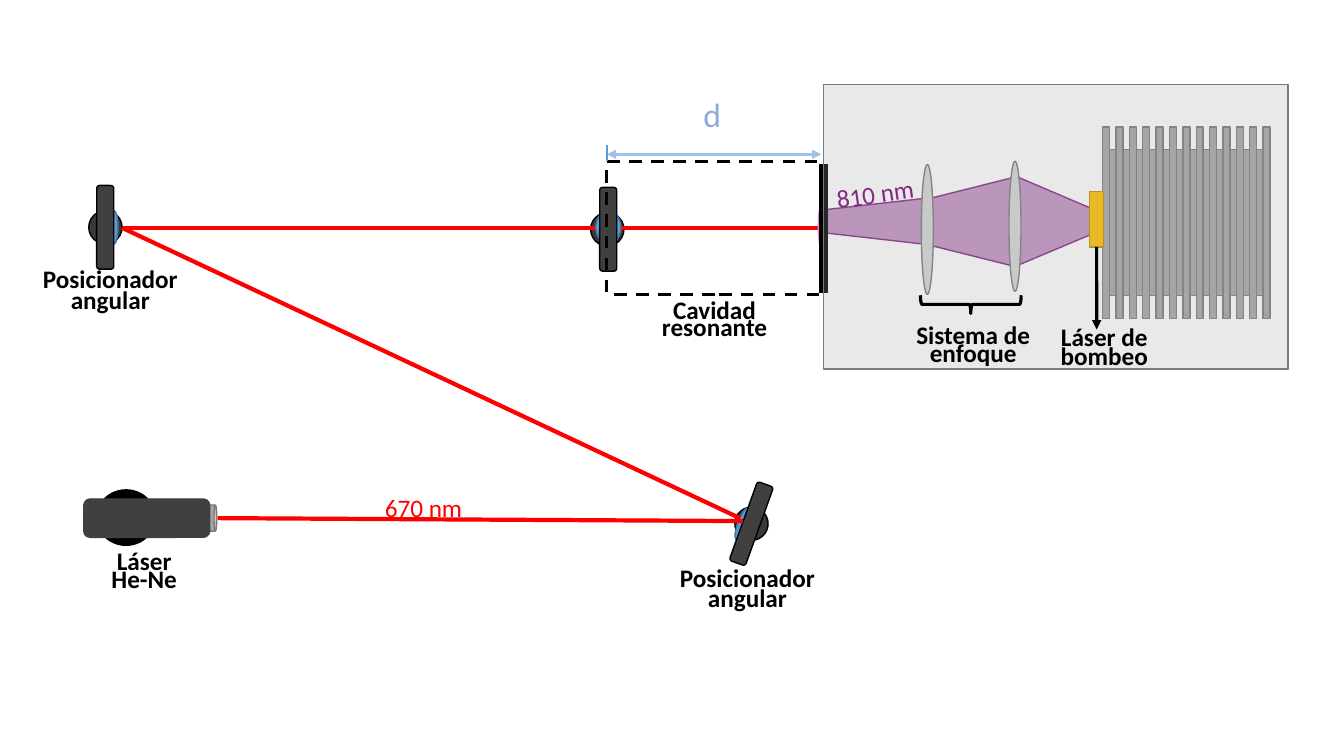
from lxml import etree
from pptx import Presentation
from pptx import util as u
from pptx.dml.color import RGBColor
from pptx.enum import dml, shapes, text
from pptx.oxml import ns

Pt = u.Pt
Kind = shapes.MSO_SHAPE
BLACK = RGBColor(0x00, 0x00, 0x00)
CHARCOAL = RGBColor(0x40, 0x40, 0x40)
DARK = RGBColor(0x3B, 0x38, 0x38)
RED = RGBColor(0xFF, 0x00, 0x00)
PURPLE = RGBColor(0x85, 0x27, 0x85)
PINK = RGBColor(0xDC, 0x88, 0xDC)
GRAY = RGBColor(0xA5, 0xA5, 0xA5)
GRAY_EDGE = RGBColor(0x7A, 0x7A, 0x7A)
GLASS = RGBColor(0xD5, 0xD5, 0xD5)
BLUE = RGBColor(0x5B, 0x9B, 0xD5)
BLUE_EDGE = RGBColor(0x43, 0x73, 0x9E)
PALE_BLUE = RGBColor(0x9D, 0xC3, 0xE6)
LETTER_BLUE = RGBColor(0x8F, 0xAA, 0xDC)
GOLD = RGBColor(0xFF, 0xC0, 0x00)
GOLD_EDGE = RGBColor(0xBD, 0x8E, 0x00)


def add_part(page, kind, area, fill, edge, weight=1, rotation=0, opacity=100):
    """Preset shape; area is left, top, width, height in points."""
    part = page.shapes.add_shape(kind, *map(Pt, area))
    part.shadow.inherit = False
    part.rotation = rotation
    part.line.color.rgb = edge
    part.line.width = Pt(weight)
    if fill is None:
        part.fill.background()
        return part
    part.fill.solid()
    part.fill.fore_color.rgb = fill
    if opacity < 100:
        color = part.element.spPr.find(ns.qn("a:solidFill"))[0]
        etree.SubElement(color, ns.qn("a:alpha"), val=str(opacity * 1000))
    return part


def add_line(page, start, end, color, weight, arrows=()):
    """Straight line; arrows names the ends that carry a triangle."""
    line = page.shapes.add_connector(
        shapes.MSO_CONNECTOR.STRAIGHT, *map(Pt, start + end))
    line.line.color.rgb = color
    line.line.width = Pt(weight)
    properties = line.element.spPr
    for arrow in arrows:
        etree.SubElement(properties.find(ns.qn("a:ln")), ns.qn(f"a:{arrow}"), type="triangle")
    etree.SubElement(properties, ns.qn("a:effectLst"))
    return line


def add_text(page, words, area, color, size=18, bold=False, wrap=False,
             align=text.PP_ALIGN.LEFT, rotation=0):
    box = page.shapes.add_textbox(*map(Pt, area))
    box.rotation = rotation
    frame = box.text_frame
    frame.word_wrap = wrap
    frame.auto_size = text.MSO_AUTO_SIZE.SHAPE_TO_FIT_TEXT
    para = frame.paragraphs[0]
    para.text = words
    para.alignment = align
    para.font.name = "Calibri"
    para.font.size = Pt(size)
    para.font.bold = bold
    para.font.color.rgb = color


def add_label(page, center, top, gap, *lines):
    """Bold caption of tightly stacked, centred lines."""
    for row, (words, width) in enumerate(lines):
        area = (center - width / 2, top + row * gap, width, 29)
        add_text(page, words, area, BLACK, bold=True, align=text.PP_ALIGN.CENTER)


def add_ball(page, left, top, rotation=0):
    add_part(page, Kind.OVAL, (left, top, 23.8, 23.8), DARK, BLACK, rotation=rotation)


def add_mirror(page, left, top, width, rotation=0):
    add_part(page, Kind.OVAL, (left, top, width, 23.8), BLUE, BLUE_EDGE, rotation=rotation)


def add_mount(page, left, top, rotation=0):
    add_part(page, Kind.ROUNDED_RECTANGLE, (left, top, 12.2, 59.8), CHARCOAL, BLACK,
             rotation=rotation)


def add_positioner(page, ball, mirror, mount, rotation=0):
    add_ball(page, *ball, rotation)
    add_mirror(page, *mirror, 5.8, rotation)
    add_mount(page, *mount, rotation)


def add_pump_beam(page):
    cone = add_part(page, Kind.ISOSCELES_TRIANGLE, (731.5, 120.2, 64.1, 75.6),
                    PURPLE, PURPLE, rotation=90, opacity=50)
    cone.adjustments[0] = 0.503
    for area in ((661.7, 126.7, 64.1, 63.4), (609.1, 121.7, 33.1, 72.7)):
        add_part(page, Kind.TRAPEZOID, area, PURPLE, PURPLE, rotation=270, opacity=50)


def add_heat_sink(page):
    add_part(page, Kind.RECTANGLE, (788.4, 106.6, 118.8, 104.4), GRAY, GRAY_EDGE)
    for fin in range(13):
        add_part(page, Kind.RECTANGLE, (787.7 + 9.54 * fin, 90.7, 5, 136.8), GRAY, GRAY_EDGE)


def main():
    deck = Presentation()
    deck.slide_width, deck.slide_height = Pt(960), Pt(540)
    page = deck.slides.add_slide(deck.slide_layouts[6])

    # Pump beam and the long red beam through the cavity mirror
    add_pump_beam(page)
    add_ball(page, 421.9, 151.9)
    cavity_beam = add_line(page, (87.1, 162.7), (587, 162.7), RED, 3)
    add_mirror(page, 425.5, 150.5, 18)

    # He-Ne laser nozzle and input crystal
    nozzle = add_part(page, Kind.CAN, (133.2, 357.8, 18.7, 24.5), GRAY, GRAY_EDGE, rotation=90)
    nozzle.adjustments[0] = 0.105
    add_part(page, Kind.OVAL, (584.6, 144, 5.8, 35.3), PINK, PINK)

    # Pump laser with its heat sink, lenses and input mirror
    add_heat_sink(page)
    pump = add_part(page, Kind.RECTANGLE, (778.3, 136.8, 10.1, 39.6), GOLD, GOLD_EDGE)
    for left, top in ((720.7, 115.2), (658.1, 117.4)):
        add_part(page, Kind.OVAL, (left, top, 8.6, 92.9), GLASS, GRAY_EDGE)
    add_part(page, Kind.RECTANGLE, (585.4, 117.4, 5.8, 91.4), BLACK, BLACK)

    # Resonant cavity and its length
    add_mount(page, 428.4, 133.9)
    cavity = add_part(page, Kind.RECTANGLE, (433.4, 115.2, 154.1, 95), None, BLACK, 2.25)
    cavity.line.dash_style = dml.MSO_LINE.DASH
    cavity_beam.end_connect(cavity, 3)
    add_line(page, (433.4, 110.2), (586.8, 110.2), PALE_BLUE, 2.25, ("headEnd", "tailEnd"))
    add_text(page, "d", (495.4, 63.4, 20.9, 36), LETTER_BLUE, size=24, wrap=True)
    add_line(page, (433.4, 115.2), (433.4, 103.7), BLUE, 1.5)

    # Angular positioners
    add_positioner(page, (63.4, 150.5), (78.5, 150.5), (69.1, 132.5))
    add_positioner(page, (524.9, 362.2), (527, 362.2), (530.6, 344.2), 19.8)

    # He-Ne laser body and its beams
    add_part(page, Kind.OVAL, (69.1, 349.9, 41.8, 39.6), BLACK, BLACK)
    add_part(page, Kind.ROUNDED_RECTANGLE, (59.8, 356.4, 90, 27.4), CHARCOAL, CHARCOAL)
    add_line(page, (155.5, 370.1), (530.6, 372.2), RED, 3)
    add_line(page, (87.1, 162.7), (528.5, 370.1), RED, 3)

    # Pump enclosure
    add_part(page, Kind.RECTANGLE, (588.2, 60.5, 331.9, 203), GRAY, GRAY_EDGE, opacity=24)

    # Wavelengths and captions
    add_text(page, "670 nm", (267.8, 347.8, 70.6, 29), RED)
    add_text(page, "810 nm", (590.4, 123.8, 70.6, 29), PURPLE, rotation=352)
    positioner = ("Posicionador", 111.6), ("angular", 71.3)
    add_label(page, 103, 385.9, 13, ("Láser", 54), ("He-Ne", 61.9))
    add_label(page, 533.9, 398.2, 14.4, *positioner)
    add_label(page, 78.8, 184.3, 15.1, *positioner)
    add_label(page, 510.4, 206.6, 12.2, ("Cavidad", 74.2), ("resonante", 90))
    add_part(page, Kind.RIGHT_BRACE, (686.9, 181.4, 13, 72), None, BLACK, 2.25, rotation=90)
    add_label(page, 695.2, 224.6, 13, ("Sistema de", 96.5), ("enfoque", 77))
    pointer = add_line(page, (783.4, 176.4), (783.4, 235.4), BLACK, 2.25, ("tailEnd",))
    pointer.begin_connect(pump, 2)
    add_label(page, 788.8, 226.1, 13.7, ("Láser de", 77), ("bombeo", 77))

    deck.save("out.pptx")


if __name__ == "__main__":
    main()
